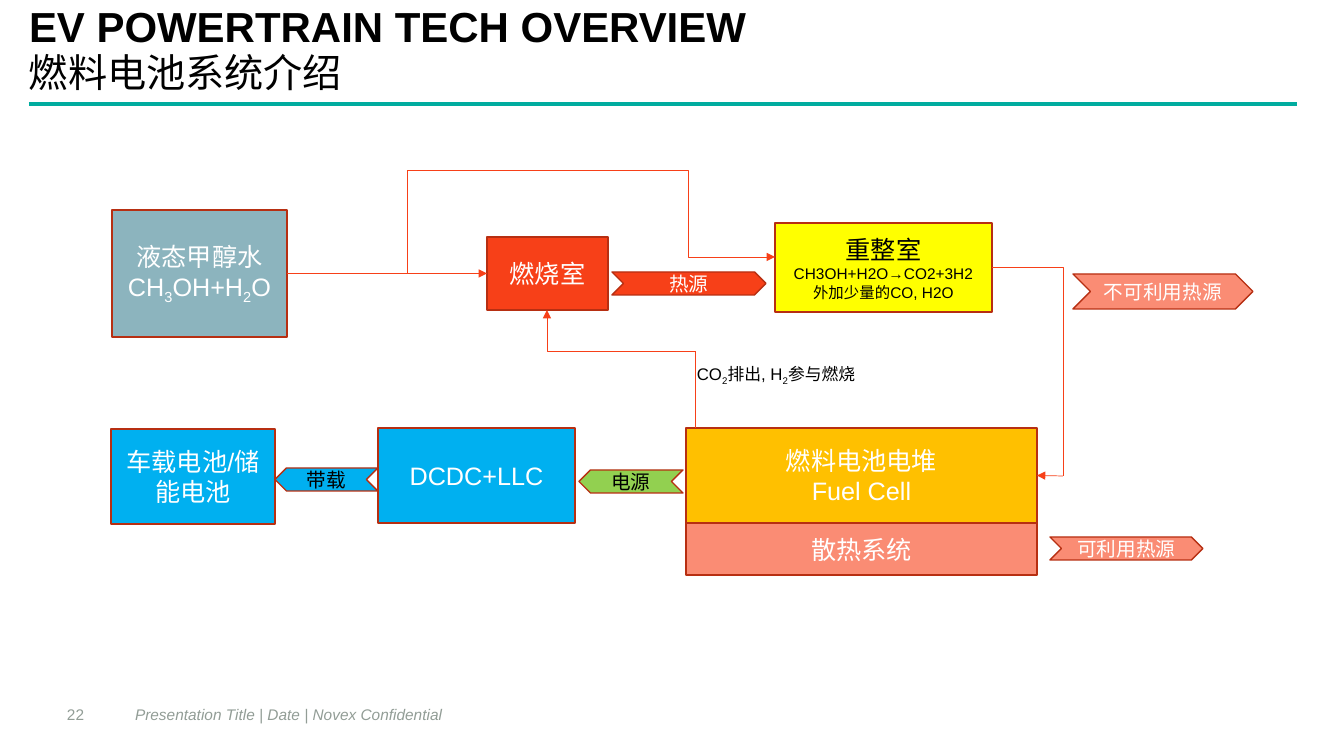
from dataclasses import dataclass
from pptx import Presentation, util as u
from pptx.dml.color import RGBColor
from pptx.enum import shapes, text
from pptx.oxml.ns import qn
from lxml import etree

PX = 12192000 / 1344  # EMU in one px


@dataclass(frozen=True)
class Theme:
    font: str = "Arial"
    teal: str = "00AC9F"
    black: str = "000000"
    white: str = "FFFFFF"
    grey: str = "929D96"
    edge: str = "B72F12"
    red: str = "F74018"
    pink: str = "FA8C74"
    blue: str = "00B0F0"
    slate: str = "8CB4BE"
    yellow: str = "FFFF00"
    gold: str = "FFC000"
    green: str = "92D050"
    head: int = 30
    title: int = 28
    box: int = 18
    tag: int = 14
    note: int = 12
    small: int = 11


T = Theme()
MID, TOP, END = (text.MSO_ANCHOR.MIDDLE, text.MSO_ANCHOR.TOP,
                 text.MSO_ANCHOR.BOTTOM)


def px(*vals):
    return [u.Emu(round(v * PX)) for v in vals]


def rgb(code):
    return RGBColor.from_string(code)


def write(frame, lines, color, align=None, bold=None, italic=None):
    """Fill a frame with (text, size) lines; ~n~ marks a subscript."""
    frame.word_wrap = True
    for i, (line, size) in enumerate(lines):
        par = frame.add_paragraph() if i else frame.paragraphs[0]
        par.alignment = align
        font = par.font
        font.name, font.size = T.font, u.Pt(size)
        font.bold, font.italic = bold, italic
        font.color.rgb = rgb(color)
        for j, part in enumerate(line.split("~")):
            run = par.add_run()
            run.text = part
            if j % 2:
                run.font._element.set("baseline", "-25000")


def label(slide, area, line, size, color, anchor=MID, pad=0, **style):
    frame = slide.shapes.add_textbox(*px(*area)).text_frame
    if pad == 0:
        frame.margin_left = frame.margin_right = 0
        frame.margin_top = frame.margin_bottom = 0
    frame.vertical_anchor = anchor
    write(frame, [(line, size)], color, **style)


def block(slide, kind, area, fill, lines, color):
    shape = slide.shapes.add_shape(kind, *px(*area))
    shape.shadow.inherit = False
    shape.fill.solid()
    shape.fill.fore_color.rgb = rgb(fill)
    shape.line.color.rgb = rgb(T.edge)
    shape.line.width = u.Pt(1)
    shape.text_frame.vertical_anchor = MID
    write(shape.text_frame, lines, color, text.PP_ALIGN.CENTER)
    return shape


def box(slide, area, fill, *lines, color=T.white):
    return block(slide, shapes.MSO_SHAPE.RECTANGLE, area, fill, lines, color)


def tag(slide, area, fill, line, color=T.white, flip=False):
    shape = block(slide, shapes.MSO_SHAPE.CHEVRON, area, fill,
                  [(line, T.tag)], color)
    if flip:
        shape._element.spPr.find(qn("a:xfrm")).set("flipH", "1")


def link(slide, ends, color=T.red, width=0.5, arrow=False, bends=0, adj=None):
    """Draw a line with no, one or two bends."""
    kinds = shapes.MSO_CONNECTOR
    kind = kinds.ELBOW if bends else kinds.STRAIGHT
    line = slide.shapes.add_connector(kind, *px(*ends))
    line.line.color.rgb = rgb(color)
    line.line.width = u.Pt(width)
    props = line._element.spPr
    geom = props.find(qn("a:prstGeom"))
    if bends == 1:
        geom.set("prst", "bentConnector2")
    if adj:
        guides = geom.find(qn("a:avLst"))
        if guides is None:
            guides = etree.SubElement(geom, qn("a:avLst"))
        etree.SubElement(guides, qn("a:gd"), name="adj1", fmla=f"val {adj}")
    if arrow:
        etree.SubElement(props.find(qn("a:ln")), qn("a:tailEnd"),
                         type="triangle")
    etree.SubElement(props, qn("a:effectLst"))
    return line


def frame(slide):
    # Heading, rule and footer
    link(slide, (29, 104, 1297, 104), T.teal, 2.25)
    label(slide, (29, -3, 1304, 54), "EV POWERTRAIN TECH OVERVIEW",
          T.head, T.black, END, bold=True)
    label(slide, (29, 48, 1210, 52), "燃料电池系统介绍", T.title, T.black, TOP)
    label(slide, (135, 698, 385, 33),
          "Presentation Title | Date | Novex Confidential",
          T.small, T.grey, italic=True)
    label(slide, (67, 698, 69, 33), "22", T.small, T.grey)


def flow(slide):
    # Process boxes
    fuel = box(slide, (112, 210, 175, 127), T.slate,
               ("液态甲醇水", T.box), ("CH~3~OH+H~2~O", T.box))
    burn = box(slide, (487, 237, 121, 73), T.red, ("燃烧室", T.box))
    box(slide, (775, 223, 217, 89), T.yellow, ("重整室", T.box),
        ("CH3OH+H2O→CO2+3H2", T.small), ("外加少量的CO, H2O", T.small),
        color=T.black)
    cell = box(slide, (686, 428, 351, 95), T.gold,
               ("燃料电池电堆", T.box), ("Fuel Cell", T.box))
    box(slide, (686, 523, 351, 52), T.pink, ("散热系统", T.box))
    box(slide, (378, 428, 197, 95), T.blue, ("DCDC+LLC", T.box))
    box(slide, (111, 429, 164, 95), T.blue, ("车载电池/储能电池", T.box))

    # Methanol feed to the burner and the reformer
    feed = link(slide, (287, 273, 487, 273), arrow=True)
    feed.begin_connect(fuel, 3)
    feed.end_connect(burn, 1)
    link(slide, (287, 273, 528, 170), bends=2)
    link(slide, (528, 170, 775, 257), arrow=True, bends=2, adj=64900)

    # Reformer to the cell, and exhaust back to the burner
    link(slide, (992, 267, 1063, 476), bends=1)
    gas = link(slide, (1063, 476, 1037, 476), arrow=True)
    gas.end_connect(cell, 3)
    link(slide, (695, 428, 695, 351))
    link(slide, (695, 351, 547, 310), arrow=True, bends=1)
    label(slide, (687, 359, 188, 30), "CO~2~排出, H~2~参与燃烧",
          T.note, T.black, TOP, pad=1)

    # Heat and power tags
    tag(slide, (612, 272, 154, 23), T.red, "热源")
    tag(slide, (579, 470, 104, 23), T.green, "电源", T.black, True)
    tag(slide, (275, 468, 103, 23), T.blue, "带载", T.black, True)
    tag(slide, (1050, 537, 153, 23), T.pink, "可利用热源")
    tag(slide, (1073, 274, 180, 35), T.pink, "不可利用热源")


def main():
    deck = Presentation()
    deck.slide_width, deck.slide_height = px(1344, 756)
    slide = deck.slides.add_slide(deck.slide_layouts[6])
    frame(slide)
    flow(slide)
    deck.save("out.pptx")


if __name__ == "__main__":
    main()
